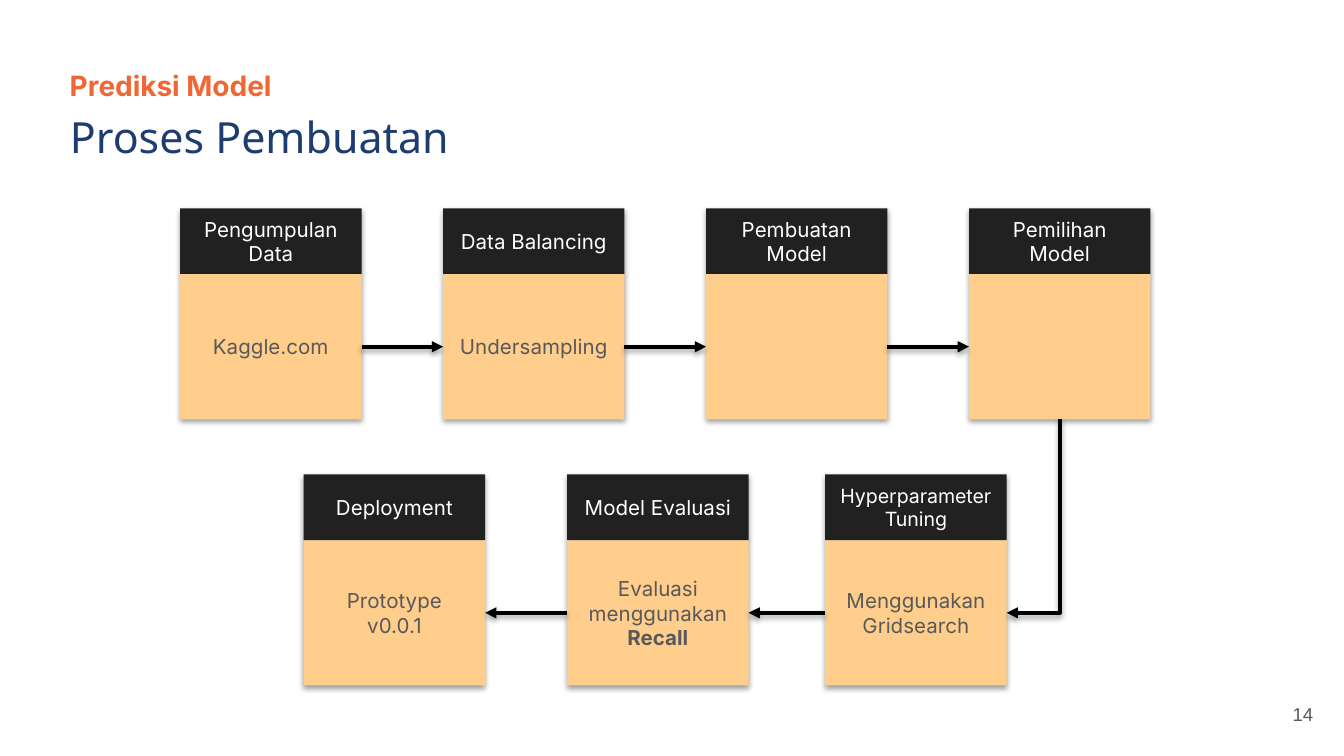
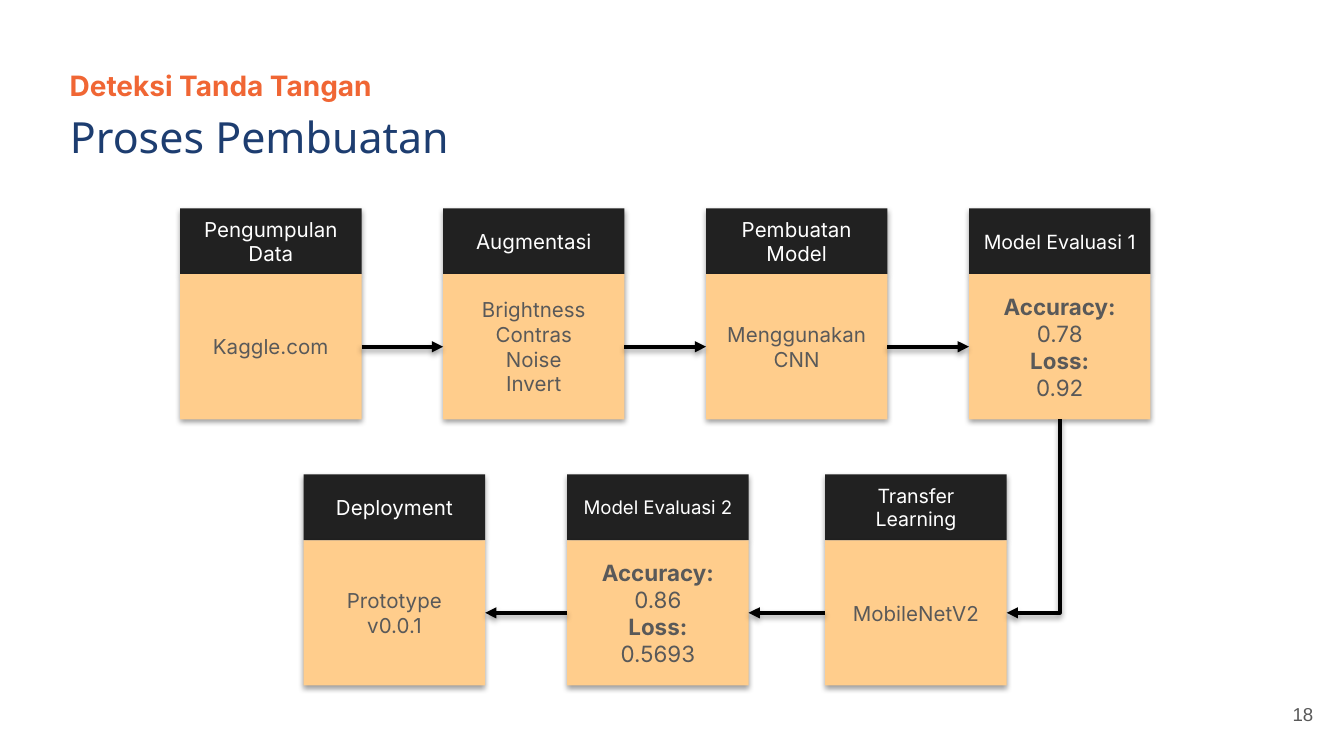
from dataclasses import dataclass

from pptx import Presentation
from pptx.dml.color import RGBColor as RGB
from pptx.enum.shapes import MSO_CONNECTOR as Connector, MSO_SHAPE as Shape
from pptx.enum.text import MSO_ANCHOR as Anchor, MSO_AUTO_SIZE as AutoSize, PP_ALIGN as Align
from pptx.oxml import parse_xml
from pptx.oxml.ns import nsdecls, qn
from pptx.util import Inches, Pt


@dataclass(frozen=True)
class Theme:
    orange: RGB = RGB(0xF0, 0x66, 0x34)
    navy: RGB = RGB(0x1D, 0x3D, 0x70)
    grey: RGB = RGB(0x59, 0x59, 0x59)
    dark: RGB = RGB(0x21, 0x21, 0x21)
    peach: RGB = RGB(0xFF, 0xCD, 0x8C)
    white: RGB = RGB(0xFF, 0xFF, 0xFF)
    black: RGB = RGB(0, 0, 0)
    body_font: str = "Inter"
    title_font: str = "Noto Sans"
    number_font: str = "Arial"
    kicker_size: float = 15
    title_size: float = 23
    number_size: float = 10
    step_size: float = 11
    metric_size: float = 12


THEME = Theme()

# Flow grid, in inches
CARD_WIDTH, HEAD_HEIGHT, BODY_HEIGHT = 1.35, 0.49, 1.08
UPPER_TOP, LOWER_TOP = 1.55, 3.53
UPPER_LEFTS = [1.34 + 5.87 / 3 * column for column in range(4)]
LOWER_LEFTS = [6.14, 4.22, 2.26]
TOP, LEFT, BOTTOM, RIGHT = range(4)


@dataclass(frozen=True)
class Step:
    head: str
    body: tuple = ()  # paragraphs; **marks** make bold
    head_size: float = THEME.step_size
    body_size: float = THEME.step_size


def metrics(head, accuracy, loss, head_size):
    body = ("**Accuracy:**", accuracy, "**Loss:**", loss)
    return Step(head, body, head_size, THEME.metric_size)


COLLECTION = Step("Pengumpulan Data", ("Kaggle.com",))
DEPLOYMENT = Step("Deployment", ("Prototype v0.0.1",))

PREDICTION_STEPS = [
    COLLECTION,
    Step("Data Balancing", ("Undersampling",)),
    Step("Pembuatan Model"),
    Step("Pemilihan Model"),
    Step("Hyperparameter Tuning", ("Menggunakan Gridsearch",), 10.5),
    Step("Model Evaluasi", ("Evaluasi menggunakan **Recall**",)),
    DEPLOYMENT,
]
SIGNATURE_STEPS = [
    COLLECTION,
    Step("Augmentasi", ("Brightness", "Contras", "Noise", "Invert")),
    Step("Pembuatan Model", ("Menggunakan\vCNN",)),
    metrics("Model Evaluasi 1", "0.78", "0.92", 10.5),
    Step("Transfer Learning", ("MobileNetV2",), 10.5),
    metrics("Model Evaluasi 2", "0.86", "0.5693", 10),
    DEPLOYMENT,
]


def write(frame, lines, font, size, color, align=Align.LEFT, anchor=Anchor.TOP):
    frame.word_wrap = True
    frame.auto_size = AutoSize.NONE
    frame.vertical_anchor = anchor
    for index, line in enumerate(lines):
        paragraph = frame.paragraphs[0] if index == 0 else frame.add_paragraph()
        plain, *marked = line.split("**")
        paragraph.text = plain
        if marked:
            run = paragraph.add_run()
            run.text, run.font.bold = marked[0], True
        paragraph.alignment = align
        paragraph.font.name = font
        paragraph.font.size = Pt(size)
        paragraph.font.color.rgb = color


def add_shadow(shape):
    """Soft shadow straight below; call after fill and line are set."""
    shape._element.spPr.append(parse_xml(
        f'<a:effectLst {nsdecls("a")}>'
        f'<a:outerShdw blurRad="{Pt(3.1)}" dist="{Pt(1.6)}" dir="5400000" algn="t" rotWithShape="0">'
        '<a:srgbClr val="000000"><a:alpha val="38000"/></a:srgbClr>'
        '</a:outerShdw></a:effectLst>'))


def place(shape, left, top, width, height):
    shape.left, shape.top = Inches(left), Inches(top)
    shape.width, shape.height = Inches(width), Inches(height)


def set_insets(frame):
    frame.margin_left = frame.margin_right = Inches(0.1)
    frame.margin_top = frame.margin_bottom = Inches(0.1)


def add_text(slide, box, *args, **options):
    frame = slide.shapes.add_textbox(*map(Inches, box)).text_frame
    set_insets(frame)
    write(frame, *args, **options)


def add_heading(slide, kicker, title, left, top, width):
    add_text(slide, (left, top, width, 0.53), [f"**{kicker}**"],
             THEME.body_font, THEME.kicker_size, THEME.orange)
    place(slide.shapes.title, left, top + 0.31, width, 0.53)
    set_insets(slide.shapes.title.text_frame)
    write(slide.shapes.title.text_frame, [title],
          THEME.title_font, THEME.title_size, THEME.navy)


def add_panel(group, box, fill, lines, size, color):
    panel = group.shapes.add_shape(Shape.RECTANGLE, *map(Inches, box))
    panel.fill.solid()
    panel.fill.fore_color.rgb = fill
    panel.line.fill.background()
    add_shadow(panel)
    write(panel.text_frame, lines, THEME.body_font, size, color,
          Align.CENTER, Anchor.MIDDLE)
    return panel


def add_card(slide, step, left, top):
    """Group a dark head and a peach body; return the body for joining."""
    group = slide.shapes.add_group_shape()
    add_panel(group, (left, top, CARD_WIDTH, HEAD_HEIGHT),
              THEME.dark, [step.head], step.head_size, THEME.white)
    return add_panel(group, (left, top + HEAD_HEIGHT, CARD_WIDTH, BODY_HEIGHT),
                     THEME.peach, step.body, step.body_size, THEME.grey)


def style_arrow(arrow):
    arrow.line.color.rgb = THEME.black
    arrow.line.width = Pt(2)
    line = arrow._element.spPr.find(qn("a:ln"))
    line.append(parse_xml(f'<a:tailEnd {nsdecls("a")} type="triangle"/>'))
    add_shadow(arrow)


def join_row(slide, bodies, exit_side, entry_side):
    for source, target in zip(bodies, bodies[1:]):
        arrow = slide.shapes.add_connector(Connector.STRAIGHT, 0, 0, 0, 0)
        arrow.begin_connect(source, exit_side)
        arrow.end_connect(target, entry_side)
        style_arrow(arrow)


def join_rows(slide, source, target):
    """One-bend arrow from the bottom of source to the right of target."""
    start_x, start_y = source.left + source.width // 2, source.top + source.height
    end_x, end_y = target.left + target.width, target.top + target.height // 2
    drop, run = end_y - start_y, start_x - end_x
    # The frame is laid flat, then turned a quarter about its centre
    left = (start_x + end_x - drop) // 2
    top = (start_y + end_y - run) // 2
    arrow = slide.shapes.add_connector(Connector.ELBOW, left, top, left + drop, top + run)
    properties = arrow._element.spPr
    properties.find(qn("a:xfrm")).set("rot", "5400000")
    properties.find(qn("a:prstGeom")).set("prst", "bentConnector2")
    style_arrow(arrow)


def add_flow(slide, steps):
    count = len(UPPER_LEFTS)
    upper = [add_card(slide, step, left, UPPER_TOP)
             for step, left in zip(steps[:count], UPPER_LEFTS)]
    lower = [add_card(slide, step, left, LOWER_TOP)
             for step, left in zip(steps[count:], LOWER_LEFTS)]
    join_row(slide, upper, RIGHT, LEFT)
    join_rows(slide, upper[-1], lower[0])
    join_row(slide, lower, LEFT, RIGHT)


def add_process_slide(presentation, kicker, number, steps):
    slide = presentation.slides.add_slide(presentation.slide_layouts[5])
    add_heading(slide, kicker, "Proses Pembuatan", 0.42, 0.41, 7.75)
    add_text(slide, (9.27, 5.1, 0.6, 0.43), [number], THEME.number_font,
             THEME.number_size, THEME.grey, Align.RIGHT, Anchor.MIDDLE)
    add_flow(slide, steps)


def main():
    presentation = Presentation()
    # Widescreen, 16:9
    presentation.slide_width = Inches(10)
    presentation.slide_height = Inches(10 * 9 / 16)
    add_process_slide(presentation, "Prediksi Model", "14", PREDICTION_STEPS)
    add_process_slide(presentation, "Deteksi Tanda Tangan", "18", SIGNATURE_STEPS)
    presentation.save("out.pptx")


if __name__ == "__main__":
    main()
